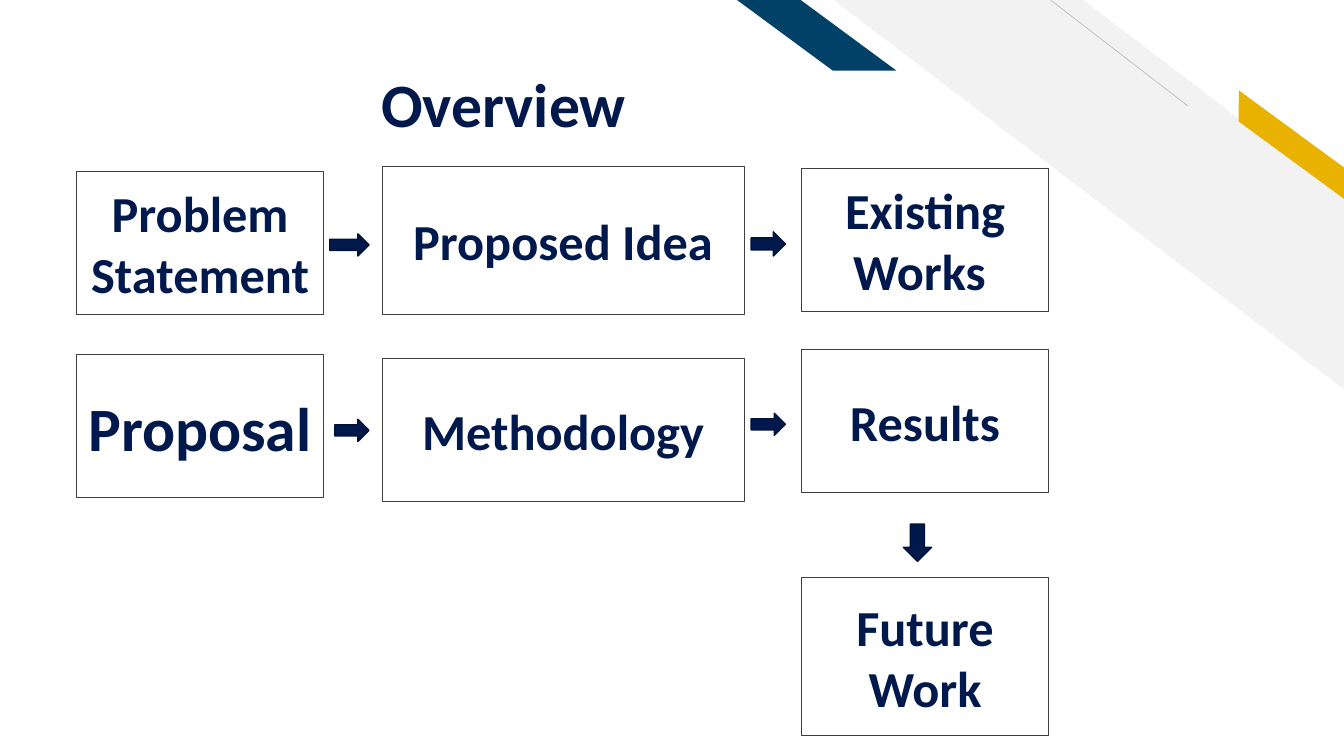
from lxml import etree
from pptx import Presentation
from pptx.dml.color import RGBColor
from pptx.enum.shapes import MSO_CONNECTOR, MSO_SHAPE
from pptx.enum.text import MSO_ANCHOR, PP_ALIGN
from pptx.oxml.ns import qn
from pptx.util import Inches, Pt

RECTANGLE = MSO_SHAPE.RECTANGLE
RIGHT, DOWN = MSO_SHAPE.RIGHT_ARROW, MSO_SHAPE.DOWN_ARROW
STRIPE, SLANT = MSO_SHAPE.DIAGONAL_STRIPE, MSO_SHAPE.PARALLELOGRAM

# Content
TITLE = "Overview"
TITLE_FRAME = (0.76, 0.64, 8.47, 0.6)

COLUMNS = [(0.76, 2.45), (3.79, 3.59), (7.95, 2.45)]  # left, width
STEPS = [  # text, column, top, height, type size
    ("Problem Statement", 0, 1.70, 1.42, "step"),
    ("Proposed Idea", 1, 1.65, 1.47, "step"),
    ("Existing Works ", 2, 1.67, 1.42, "step"),
    ("Proposal", 0, 3.52, 1.42, "large"),
    ("Methodology", 1, 3.56, 1.42, "step"),
    ("Results", 2, 3.47, 1.42, "step"),
    ("Future Work", 2, 5.73, 1.57, "step"),
]
ARROWS = [  # kind, left, top, width, height
    (RIGHT, 3.27, 2.32, 0.39, 0.22),
    (RIGHT, 7.45, 2.30, 0.34, 0.24),
    (RIGHT, 3.32, 4.16, 0.34, 0.22),
    (RIGHT, 7.45, 4.10, 0.34, 0.22),
    (DOWN, 8.96, 5.20, 0.28, 0.37),
]
BANDS = [  # kind, frame, adjustment, rotation, colour
    (STRIPE, (8.27, 0, 5.07, 3.87), 0.512, 0, "pale"),
    (SLANT, (12.07, 1.31, 1.48, 0.25), 0.72, 36.3, "gold"),
    (SLANT, (7.31, 0, 1.58, 0.7), 1.356, 0, "teal"),
]
HAIRLINE = (11.78, 1.05, 10.42, 0)

THEME = {
    "font": "Calibri",
    "sizes": {"step": 36, "large": 44},
    "navy": "00194C", "arrow_edge": "001238", "white": "FFFFFF",
    "box_edge": "3F3F3F", "pale": "F2F2F2", "hairline": "BFBFBF",
    "gold": "EAB200", "teal": "014067",
}


def colour(name):
    return RGBColor.from_string(THEME[name])


def add_block(slide, kind, frame, fill, edge=None, edge_width=1):
    block = slide.shapes.add_shape(kind, *map(Inches, frame))
    block.shadow.inherit = False
    block.fill.solid()
    block.fill.fore_color.rgb = colour(fill)
    if edge:
        block.line.color.rgb = colour(edge)
        block.line.width = Pt(edge_width)
    else:
        block.line.fill.background()
    return block


def write(holder, text, size, anchor):
    frame = holder.text_frame
    frame.text = text
    frame.word_wrap = True
    frame.vertical_anchor = anchor
    frame.margin_left = frame.margin_right = Inches(0.1)
    frame.margin_top = frame.margin_bottom = Inches(0.1)
    paragraph = frame.paragraphs[0]
    paragraph.alignment = PP_ALIGN.CENTER
    font = paragraph.runs[0].font
    font.name, font.size, font.bold = THEME["font"], Pt(THEME["sizes"][size]), True
    font.color.rgb = colour("navy")
    return paragraph


def add_corner(slide):
    for kind, frame, adjustment, rotation, fill in BANDS:
        band = add_block(slide, kind, frame, fill)
        band.adjustments[0] = adjustment
        band.rotation = rotation
        band._element.spPr.find(qn("a:xfrm")).set("flipH", "1")
    hairline = slide.shapes.add_connector(MSO_CONNECTOR.STRAIGHT, *map(Inches, HAIRLINE))
    hairline.line.color.rgb = colour("hairline")
    hairline.line.width = Pt(0.5)
    etree.SubElement(hairline._element.spPr, qn("a:effectLst"))


def main():
    deck = Presentation()
    deck.slide_width, deck.slide_height = Inches(13.33), Inches(7.5)
    slide = deck.slides.add_slide(deck.slide_layouts[5])

    # Corner decoration
    add_corner(slide)

    # Title
    title = slide.shapes.title
    title.left, title.top, title.width, title.height = map(Inches, TITLE_FRAME)
    write(title, TITLE, "large", MSO_ANCHOR.TOP).line_spacing = 0.9

    # Steps
    for text, column, top, height, size in STEPS:
        left, width = COLUMNS[column]
        box = add_block(slide, RECTANGLE, (left, top, width, height),
                        "white", "box_edge", 0.75)
        write(box, text, size, MSO_ANCHOR.MIDDLE)

    # Arrows between the steps
    for kind, *frame in ARROWS:
        add_block(slide, kind, frame, "navy", "arrow_edge")

    deck.save("out.pptx")


if __name__ == "__main__":
    main()
